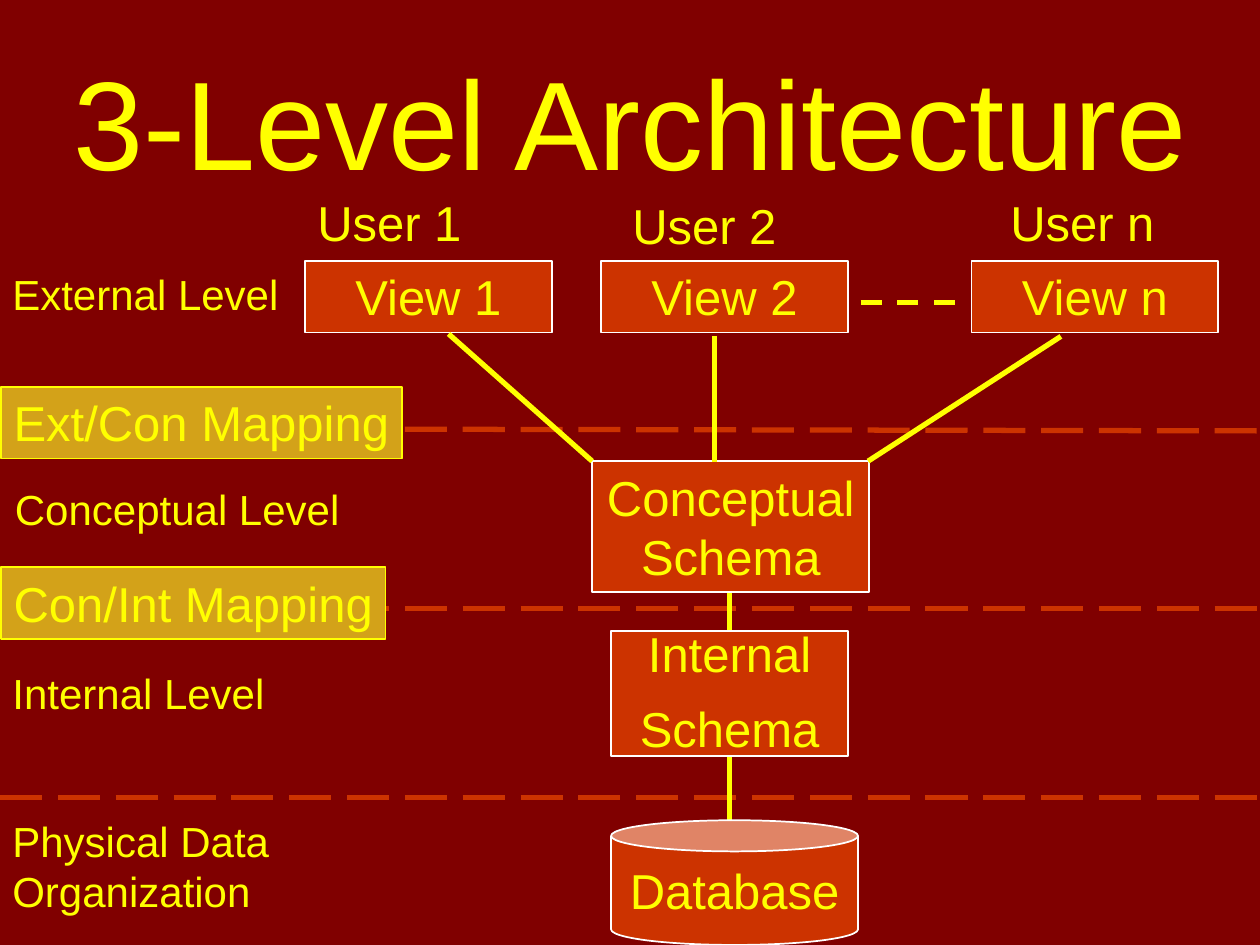
from dataclasses import dataclass

from pptx import Presentation
from pptx import util as u
from pptx.dml import color
from pptx.enum import dml, shapes, text
from pptx.oxml import ns, xmlchemy


@dataclass(frozen=True)
class Theme:
    font: str = "Arial"
    background: str = "800000"
    ink: str = "FFFF00"
    panel: str = "CC3300"
    mapping: str = "D3A219"
    outline: str = "FFFFFF"
    title_size: int = 72
    box_size: int = 28
    label_size: int = 24
    thick: int = 3
    thin: int = 1


@dataclass(frozen=True)
class Box:
    left: float
    top: float
    width: float
    height: float

    def inner(self, left, top, width, height):
        return Box(self.left + left, self.top + top, width, height)

    def lengths(self):
        return [u.Inches(n) for n in (self.left, self.top, self.width, self.height)]


THEME = Theme()
LEFT, CENTER = text.PP_ALIGN.LEFT, text.PP_ALIGN.CENTER
TOP, MIDDLE = text.MSO_ANCHOR.TOP, text.MSO_ANCHOR.MIDDLE


def rgb(value):
    return color.RGBColor.from_string(value)


def write(shape, lines, size, align=LEFT, anchor=TOP, wrap=True):
    frame = shape.text_frame
    frame.text = "\n".join(lines)
    frame.word_wrap = wrap
    frame.vertical_anchor = anchor
    for paragraph in frame.paragraphs:
        paragraph.alignment = align
        paragraph.font.name = THEME.font
        paragraph.font.size = u.Pt(size)
        paragraph.font.color.rgb = rgb(THEME.ink)
    return frame


def add_label(slide, box, words, size):
    write(slide.shapes.add_textbox(*box.lengths()), [words], size)


def add_panel(slide, box, lines, kind=shapes.MSO_SHAPE.RECTANGLE, fill=THEME.panel,
              outline=THEME.outline, **layout):
    shape = slide.shapes.add_shape(kind, *box.lengths())
    shape.shadow.inherit = False
    shape.fill.solid()
    shape.fill.fore_color.rgb = rgb(fill)
    shape.line.color.rgb = rgb(outline)
    shape.line.width = u.Pt(THEME.thin)
    return write(shape, lines, THEME.box_size, **layout)


def add_line(slide, box, start, end, line_color=THEME.ink, dash=None):
    points = [u.Inches(n) for x, y in (start, end) for n in (box.left + x, box.top + y)]
    line = slide.shapes.add_connector(shapes.MSO_CONNECTOR.STRAIGHT, *points)
    line.line.color.rgb = rgb(line_color)
    line.line.width = u.Pt(THEME.thick)
    if dash:
        line.line.dash_style = dash
    properties = line._element.spPr
    properties.append(xmlchemy.OxmlElement(ns.qn("a:effectLst").clark_name
                                           if hasattr(ns.qn("a:effectLst"), "clark_name")
                                           else "a:effectLst"))


def add_title(slide, box, words):
    title = slide.shapes.title
    title.left, title.top, title.width, title.height = box.lengths()
    write(title, [words], THEME.title_size, CENTER, MIDDLE)


def add_level_names(slide, box):
    for words, left, top, width, height in (
        ("External Level", 0, 0, 2.5, 0.5),
        ("Conceptual Level", 0.02, 1.71, 3, 0.5),
        ("Internal Level", 0, 3.17, 2.25, 0.5),
        ("Physical Data Organization", 0, 4.34, 3, 0.9),
    ):
        add_label(slide, box.inner(left, top, width, height), words, THEME.label_size)


def add_level_dividers(slide, box):
    for start, end in ((0.33, 0.35), (1.76, 1.76), (3.26, 3.26)):
        add_line(slide, box, (0, start), (box.width, end), THEME.panel,
                 dml.MSO_LINE.LONG_DASH)
    for words, top, width in (("Ext/Con Mapping", 0, 3.18), ("Con/Int Mapping", 1.43, 3.05)):
        add_panel(slide, box.inner(0.01, top, width, 0.57), [words],
                  fill=THEME.mapping, outline=THEME.ink, wrap=False)


def add_schema_stack(slide, box):
    for top, bottom in ((0.93, 1.35), (2.35, 2.99)):
        add_line(slide, box, (1.09, top), (1.09, bottom))
    add_panel(slide, box.inner(0, 0, 2.2, 1.04), ["Conceptual Schema"], align=CENTER)
    internal = add_panel(slide, box.inner(0.15, 1.35, 1.88, 0.99),
                         ["Internal", "Schema"], align=CENTER)
    for paragraph in internal.paragraphs:
        paragraph.line_spacing = 0.75
    internal.paragraphs[1].space_before = u.Pt(17.5)
    add_panel(slide, box.inner(0.15, 2.85, 1.96, 0.99), ["Database"],
              kind=shapes.MSO_SHAPE.CAN, align=CENTER, anchor=MIDDLE, wrap=False)


def add_user_views(slide, box):
    for name, view_left, user_left, user_top in (
        ("1", 0, 0, 0),
        ("2", 2.35, 2.5, 0.02),
        ("n", 5.29, 5.5, 0),
    ):
        add_label(slide, box.inner(user_left, user_top, 1.42, 0.57),
                  f"User {name}", THEME.box_size)
        add_panel(slide, box.inner(view_left, 0.59, 1.96, 0.57),
                  [f"View {name}"], align=CENTER)
    add_line(slide, box, (4.41, 0.92), (5.16, 0.92), dash=dml.MSO_LINE.DASH)
    for start, end in (
        ((1.14, 1.17), (2.28, 2.18)),
        ((3.25, 1.19), (3.25, 2.19)),
        ((6, 1.19), (4.47, 2.18)),
    ):
        add_line(slide, box, start, end)


def main():
    presentation = Presentation()
    presentation.slide_width, presentation.slide_height = u.Inches(10), u.Inches(7.5)
    slide = presentation.slides.add_slide(presentation.slide_layouts[5])
    slide.background.fill.solid()
    slide.background.fill.fore_color.rgb = rgb(THEME.background)
    add_title(slide, Box(0, 0.33, 10, 1.25), "3-Level Architecture")
    add_level_names(slide, Box(0, 2.08, 3, 5.24))
    add_level_dividers(slide, Box(0, 3.07, 10, 3.26))
    add_schema_stack(slide, Box(4.7, 3.66, 2.2, 3.84))
    add_user_views(slide, Box(2.42, 1.48, 7.25, 2.19))
    presentation.save("out.pptx")


if __name__ == "__main__":
    main()
